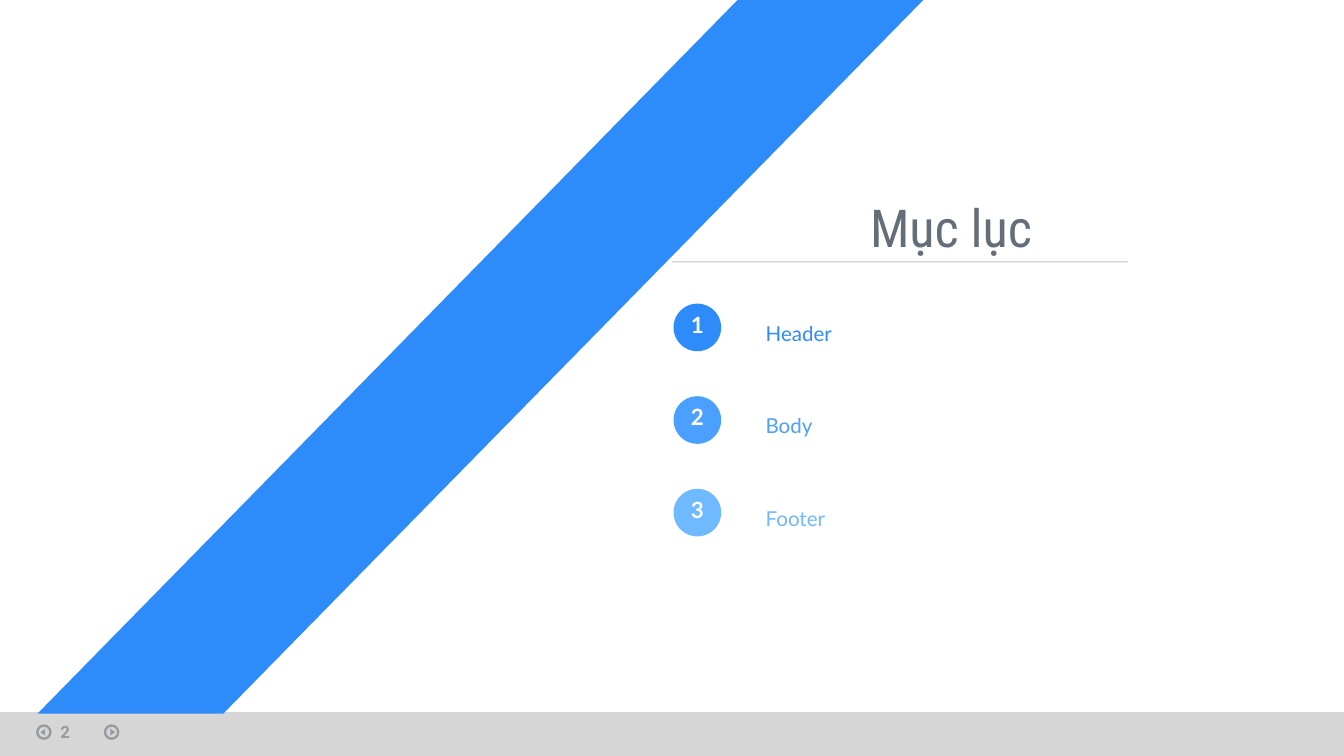
from pptx import Presentation
from pptx.dml.color import RGBColor
from pptx.enum import shapes, text
from pptx.oxml import ns
from pptx.util import Cm, Pt
from lxml import etree

COLORS = {
    "band": "2D8CFA", "second": "4BA0FF", "third": "6EB9FF", "title": "646E78",
    "dark": "051423", "bar": "D2D2D2", "white": "FFFFFF",
}
ITEMS = [("Header", "band"), ("Body", "second"), ("Footer", "third")]
SHAPE = shapes.MSO_SHAPE
CENTER = text.PP_ALIGN.CENTER


def rgb(name):
    """Return the named colour."""
    return RGBColor.from_string(COLORS[name])


def set_alpha(element, percent):
    """Make every colour in an element partly transparent."""
    for color in element.iter(ns.qn("a:srgbClr")):
        etree.SubElement(color, ns.qn("a:alpha"), val=str(percent * 1000))


def add_shape(slide, kind, box, fill=None, line=None, alpha=None, rotation=0):
    """Add a preset shape with an optional fill and outline."""
    s = slide.shapes.add_shape(kind, *map(Cm, box))
    s.shadow.inherit = False
    s.rotation = rotation
    if fill:
        s.fill.solid()
        s.fill.fore_color.rgb = rgb(fill)
    else:
        s.fill.background()
    if line:
        s.line.color.rgb = rgb(line)
        s.line.width = Pt(1.25)
    else:
        s.line.fill.background()
    if alpha:
        set_alpha(s._element.spPr, alpha)
    return s


def write(s, words, color, spacing=None, align=None, inset=0,
          anchor=text.MSO_ANCHOR.MIDDLE, **font):
    """Write one formatted line of text into a shape."""
    tf = s.text_frame
    frame = {"word_wrap": True, "vertical_anchor": anchor}
    for side in ("left", "right", "top", "bottom"):
        frame[f"margin_{side}"] = Cm(inset)
    for name, value in frame.items():
        setattr(tf, name, value)
    p = tf.paragraphs[0]
    p.alignment, p.line_spacing = align, spacing
    r = p.add_run()
    r.text = words
    for name, value in font.items():
        setattr(r.font, name, value)
    r.font.color.rgb = rgb(color)
    return r


def add_arrow_button(slide, x, y, direction):
    """Add a ringed navigation arrow centred on a point."""
    d, w, h = 0.25, 0.13, 0.09
    add_shape(slide, SHAPE.OVAL, (x - d / 2, y - d / 2, d, d), line="dark", alpha=30)
    tip = x + direction * 0.02
    add_shape(slide, SHAPE.ISOSCELES_TRIANGLE, (tip - w / 2, y - h / 2, w, h),
              fill="dark", alpha=30, rotation=90 * direction)


def add_footer(slide, left, top, width, height):
    """Add the grey bar with its arrows and page number."""
    add_shape(slide, SHAPE.RECTANGLE, (left, top, width, height), fill="bar", alpha=90)
    middle = top + 0.38
    add_arrow_button(slide, left + 2.11, middle, 1)
    add_arrow_button(slide, left + 0.83, middle, -1)
    s = slide.shapes.add_textbox(*map(Cm, (left + 0.96, top + 0.05, 1.1, 0.53)))
    r = write(s, "2", "dark", inset=0.13, anchor=text.MSO_ANCHOR.TOP,
              name="Roboto", size=Pt(9), bold=True)
    s.text_frame.margin_left = Cm(0.18)
    set_alpha(r._r, 30)


def add_band(slide, left, top, width, height, thickness):
    """Add the slanted band across a box."""
    right, bottom = left + width, top + height
    outline = [(right - thickness, top), (right, top),
               (left + thickness, bottom), (left, bottom)]
    points = [(Cm(x), Cm(y)) for x, y in outline]
    builder = slide.shapes.build_freeform(*points[0])
    builder.add_line_segments(points[1:], close=True)
    s = builder.convert_to_shape()
    s.shadow.inherit = False
    s.fill.solid()
    s.fill.fore_color.rgb = rgb("band")
    s.line.fill.background()


def add_heading(slide, left, top, width, height):
    """Add the title and the rule beneath it."""
    s = slide.shapes.add_textbox(*map(Cm, (left + 0.97, top, width, height)))
    write(s, "Mục lục", "title", align=CENTER, name="Roboto Condensed", size=Pt(28))
    y = Cm(top + height)
    rule = slide.shapes.add_connector(
        shapes.MSO_CONNECTOR.STRAIGHT, Cm(left), y, Cm(left + width), y)
    rule.line.color.rgb = rgb("dark")
    rule.line.width = Pt(0.5)
    sp = rule._element.spPr
    set_alpha(sp, 25)
    etree.SubElement(sp, ns.qn("a:effectLst"))


def add_contents(slide, left, top, width, pitch):
    """Add the numbered list of sections."""
    d, indent = 0.9, 1.74
    for i, (label, color) in enumerate(ITEMS):
        y = top + i * pitch
        s = add_shape(slide, SHAPE.OVAL, (left, y, d, d), fill=color)
        write(s, str(i + 1), "white", spacing=0.7, align=CENTER,
              name="Lato", size=Pt(12), bold=True)
        box = (left + indent, y + 0.32, width - indent, 0.58)
        s = slide.shapes.add_textbox(*map(Cm, box))
        write(s, label, color, spacing=0.7, name="Lato", size=Pt(11))


def main():
    """Build and save the contents slide."""
    prs = Presentation()
    prs.slide_width, prs.slide_height = Cm(25.4), Cm(14.29)
    slide = prs.slides.add_slide(prs.slide_layouts[6])
    add_footer(slide, 0, 13.46, 25.4, 0.83)
    add_band(slide, 0.71, -0.05, 16.79, 13.54, 3.51)
    add_heading(slide, 12.7, 3.63, 8.61, 1.32)
    add_contents(slide, 12.73, 5.74, 8.68, 1.75)
    prs.save("out.pptx")


if __name__ == "__main__":
    main()
